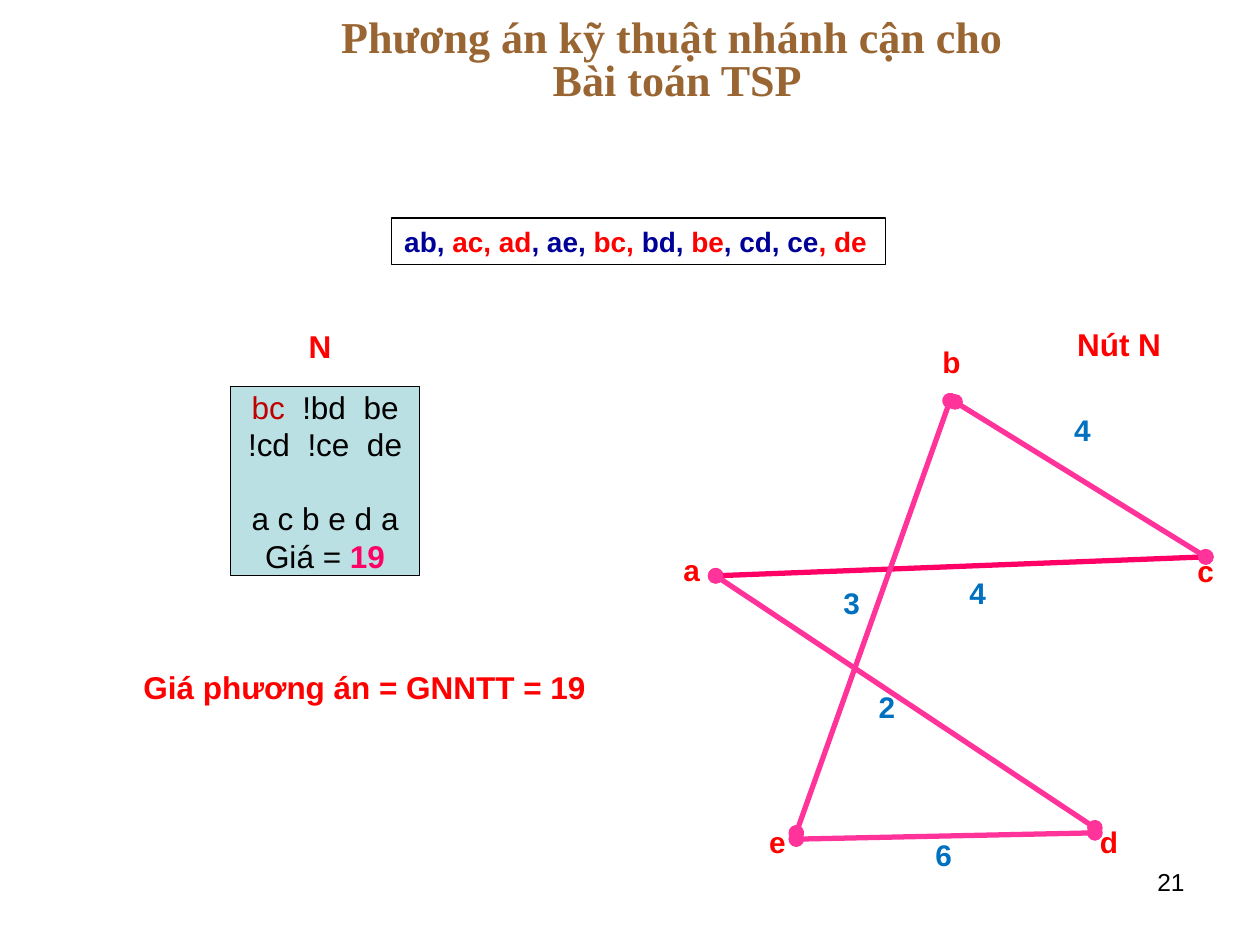
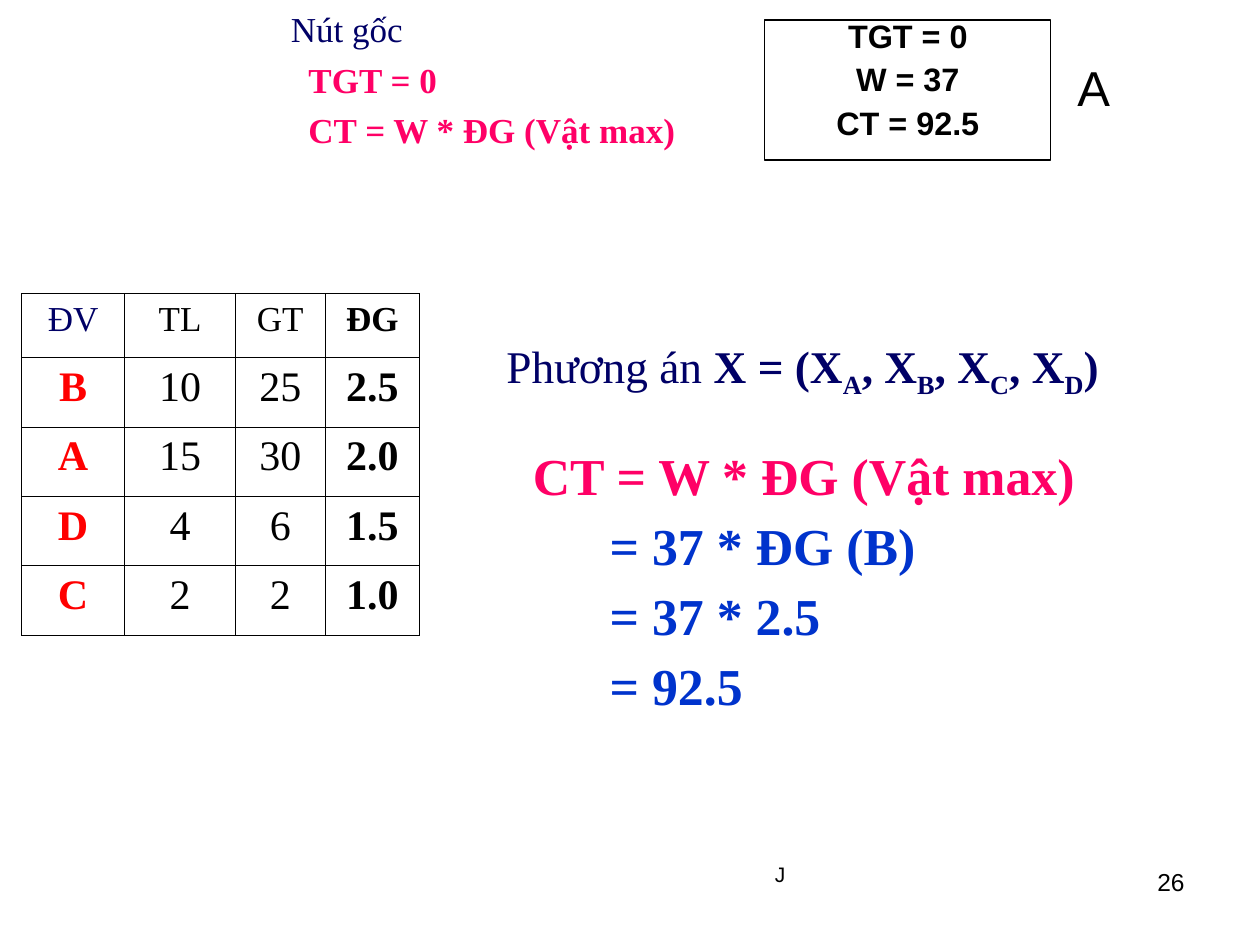
import pptx
import pptx.dml.color
import pptx.enum.shapes
import pptx.enum.text
import pptx.oxml
import pptx.oxml.ns
import pptx.util
from pptx.util import Inches

COLORS = {
    "black": "000000", "white": "FFFFFF", "red": "FF0000", "dark_red": "C00000",
    "title": "996633", "navy": "000066", "list_blue": "000099", "weight": "0070C0",
    "result": "0033CC", "accent": "FF0066", "pink": "FF3399", "node": "BBE0E3",
}
SANS = "Arial"
SERIF = "Times New Roman"
ALIGN = pptx.enum.text.PP_ALIGN
ANCHOR = pptx.enum.text.MSO_ANCHOR


def rgb(name):
    return pptx.dml.color.RGBColor.from_string(COLORS[name])


def add_xml(parent, xml):
    namespace = pptx.oxml.ns.nsdecls("a")
    parent.append(pptx.oxml.parse_xml(xml.replace(">", f" {namespace}>", 1)))


def line(*runs, **layout):
    return runs, layout


def write(paragraph, text, font=SANS, size=18, color="black", bold=False, baseline=0, spacing=0):
    for index, part in enumerate(text.split("\v")):
        if index:
            paragraph.add_line_break()
        run = paragraph.add_run()
        run.text = part
        run.font.name = font
        run.font.size = pptx.util.Pt(size)
        run.font.bold = bold
        run.font.color.rgb = rgb(color)
        properties = run._r.get_or_add_rPr()
        if baseline:
            properties.set("baseline", str(baseline * 1000))
        if spacing:
            properties.set("spc", str(spacing * 100))


class Deck:
    def __init__(self):
        self.presentation = pptx.Presentation()
        self.presentation.slide_width = Inches(10)
        self.presentation.slide_height = Inches(7.5)
        self.slide = None

    def new_slide(self, number):
        self.slide = self.presentation.slides.add_slide(self.presentation.slide_layouts[6])
        self.text((7.17, 6.83, 2.33, 0.52), number, size=14, align=ALIGN.RIGHT)

    def fill_frame(self, frame, content, inset=(0.1, 0.05), anchor=ANCHOR.TOP,
                   align=ALIGN.LEFT, line_spacing=None, space=0, **style):
        frame.word_wrap = True
        frame.vertical_anchor = anchor
        frame.margin_left = frame.margin_right = Inches(inset[0])
        frame.margin_top = frame.margin_bottom = Inches(inset[1])
        lines = [line(content)] if isinstance(content, str) else content
        for index, (runs, layout) in enumerate(lines):
            paragraph = frame.paragraphs[0] if index == 0 else frame.add_paragraph()
            paragraph.alignment = align
            if line_spacing:
                paragraph.line_spacing = line_spacing
            if index:
                paragraph.space_before = pptx.util.Pt(layout.get("space", space))
            if "indent" in layout:
                paragraph._p.get_or_add_pPr().set("marL", str(Inches(layout["indent"])))
            for run in runs:
                text, changes = (run, {}) if isinstance(run, str) else run
                write(paragraph, text, **{**style, **changes})

    def text(self, box, content, **format):
        shape = self.slide.shapes.add_textbox(*map(Inches, box))
        self.fill_frame(shape.text_frame, content, **format)

    def rectangle(self, box, content, fill=None, border="black", **format):
        kind = pptx.enum.shapes.MSO_SHAPE.RECTANGLE
        shape = self.slide.shapes.add_shape(kind, *map(Inches, box))
        shape.shadow.inherit = False
        if fill:
            shape.fill.solid()
            shape.fill.fore_color.rgb = rgb(fill)
        else:
            shape.fill.background()
        if border:
            shape.line.color.rgb = rgb(border)
            shape.line.width = pptx.util.Pt(0.75)
        else:
            shape.line.fill.background()
        self.fill_frame(shape.text_frame, content, **format)

    def graph_label(self, left, top, text, color):
        self.text((left, top, 0.14, 0.31), text, inset=(0, 0), align=ALIGN.CENTER,
                  line_spacing=0.9, size=17, color=color, bold=True)

    def edge(self, start, end, color):
        kind = pptx.enum.shapes.MSO_CONNECTOR.STRAIGHT
        connector = self.slide.shapes.add_connector(kind, *map(Inches, start + end))
        connector.line.color.rgb = rgb(color)
        connector.line.width = pptx.util.Pt(3)
        outline = connector.line._get_or_add_ln()
        add_xml(outline, '<a:headEnd type="oval"></a:headEnd>')
        add_xml(outline, '<a:tailEnd type="oval"></a:tailEnd>')
        add_xml(connector._element.spPr, "<a:effectLst></a:effectLst>")

    def table(self, left, top, widths, heights, rows, cell_style):
        frame = self.slide.shapes.add_table(
            len(rows), len(widths), Inches(left), Inches(top),
            Inches(sum(widths)), Inches(sum(heights)))
        table = frame.table
        table.first_row = table.horz_banding = False
        for column, width in zip(table.columns, widths):
            column.width = Inches(width)
        for row, height in zip(table.rows, heights):
            row.height = Inches(height)
        for row_index, values in enumerate(rows):
            for column_index, value in enumerate(values):
                cell = table.cell(row_index, column_index)
                self.fill_frame(cell.text_frame, value, align=ALIGN.CENTER,
                                **cell_style(row_index, column_index))
                properties = cell._tc.get_or_add_tcPr()
                for side in "LRTB":
                    add_xml(properties, f'<a:ln{side} w="5715"><a:solidFill><a:srgbClr '
                            f'val="{COLORS["black"]}"/></a:solidFill></a:ln{side}>')
                cell.fill.background()


def build_tour_slide(deck):
    deck.new_slide("21")
    red, blue = {"color": "red"}, {"color": "list_blue"}
    deck.rectangle((3.11, 1.73, 3.92, 0.37), [line(
        ("ab, ", blue), ("ac, ad", red), (", ae, ", blue), ("bc, ", red),
        ("bd,", blue), (" be", red), (", cd, ce", blue), (", de", red))], size=16, bold=True)

    weights = [("2", 6.97, 5.5), ("4", 7.69, 4.59), ("6", 7.42, 6.67),
               ("4", 8.52, 3.3), ("3", 6.69, 4.67)]
    cities = [("e", 6.1, 6.57), ("d", 8.73, 6.57), ("c", 9.5, 4.42),
              ("a", 5.42, 4.41), ("b", 7.48, 2.76)]
    for labels, color in ((weights, "weight"), (cities, "red")):
        for text, left, top in labels:
            deck.graph_label(left, top, text, color)

    a, c, d = (5.68, 4.57), (9.57, 4.42), (8.69, 6.61)
    deck.edge(a, c, "accent")
    for start, end in (((6.32, 6.61), (7.54, 3.18)), (a, (8.69, 6.57)),
                       ((7.58, 3.19), c), ((6.32, 6.66), d)):
        deck.edge(start, end, "pink")

    gap = (" ", {"spacing": 5})
    deck.rectangle((1.83, 3.07, 1.5, 1.5), [
        line(("bc", {"color": "dark_red"}), gap, "!bd", gap, "be"),
        line("!cd", gap, "!ce", gap, "de"),
        line("a c b e d a", space=20.7),
        line("Giá = ", ("19", {"color": "accent", "bold": True})),
    ], fill="node", anchor=ANCHOR.MIDDLE, align=ALIGN.CENTER)

    for box, caption in (((8.45, 2.53, 0.95, 0.4), "Nút N"),
                         ((2.35, 2.55, 0.42, 0.4), "N"),
                         ((1.04, 5.25, 4.01, 0.4), "Giá phương án = GNNTT = 19")):
        deck.text(box, caption, color="red", bold=True)
    deck.text((1.25, 0.11, 8.25, 1.03), "Phương án kỹ thuật nhánh cận cho \vBài toán TSP",
              font=SERIF, size=25.2, color="title", bold=True,
              align=ALIGN.CENTER, line_spacing=0.8)


def item_style(row, column):
    color = "black"
    if column == 0:
        color = "red" if row else "navy"
    return {"font": SERIF, "size": 24 if row else 20, "color": color,
            "bold": column == 3 or (column == 0 and row > 0)}


def build_root_slide(deck):
    deck.new_slide("26")
    deck.rectangle((6.07, 0.16, 2.27, 1.11),
                   [line("TGT = 0"), line("W = 37"), line("CT = 92.5")],
                   fill="white", inset=(0, 0), align=ALIGN.CENTER,
                   line_spacing=0.9, space=5, size=18.5, bold=True)
    for box, letter, size in (((8.55, 0.46, 0.45, 0.52), "A", 28),
                              ((6.15, 6.84, 0.14, 0.29), "J", 12)):
        deck.rectangle(box, letter, fill="white", border=None, inset=(0, 0), size=size)

    items = [("ĐV", "TL", "GT", "ĐG"), ("B", "10", "25", "2.5"), ("A", "15", "30", "2.0"),
             ("D", "4", "6", "1.5"), ("C", "2", "2", "1.0")]
    deck.table(0.17, 2.33, [0.82, 0.88, 0.71, 0.75], [0.51] + [0.55] * 4, items, item_style)

    bound = "CT = W * ÐG (Vật max)"
    accent = {"color": "accent", "bold": True}
    deck.text((2.21, 0.01, 3.43, 1.26), [
        line("Nút gốc"),
        line(("TGT = 0", accent), indent=0.14),
        line((bound, accent), indent=0.14),
    ], font=SERIF, size=20, color="navy", space=5)

    bold = {"bold": True}
    solution = ["Phương án ", ("X = (X", bold)]
    for item, following in zip("ABCD", (", X", ", X", ", X", ")")):
        solution += [(item, {"bold": True, "baseline": -25}), (following, bold)]
    result = {"size": 29.6, "color": "result", "bold": True}
    steps = [line((step, result), indent=0.82)
             for step in ("= 37 * ĐG (B)", "= 37 * 2.5", "= 92.5")]
    deck.text((3.92, 2.64, 5.58, 3.52), [
        line(*solution),
        line((bound, {**result, "color": "accent"}), indent=0.21, space=32),
        *steps,
    ], font=SERIF, size=25.9, color="navy", line_spacing=0.9, space=8)


def main():
    deck = Deck()
    build_tour_slide(deck)
    build_root_slide(deck)
    deck.presentation.save("out.pptx")


if __name__ == "__main__":
    main()
